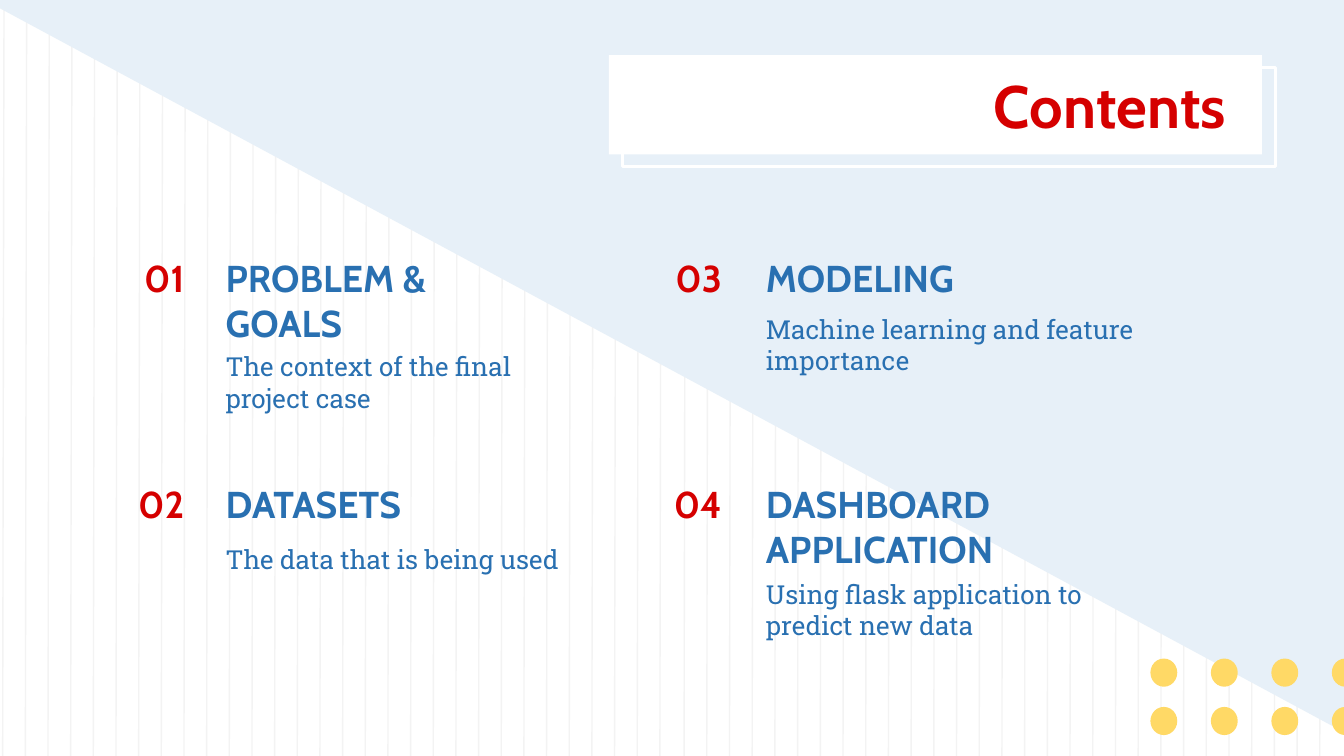
from dataclasses import dataclass

from lxml import etree
from pptx import Presentation
from pptx.dml.color import RGBColor
from pptx.enum import shapes, text
from pptx.oxml.ns import qn
from pptx.util import Inches, Pt


@dataclass(frozen=True)
class Theme:
    red: str = "D50000"
    blue: str = "2970B1"
    sky: str = "E7F0F8"
    yellow: str = "FFD966"
    white: str = "FFFFFF"
    stripe: str = "F3F3F3"
    heading_font: str = "Cabin"
    body_font: str = "Roboto Slab"
    title_size: int = 32
    heading_size: int = 20
    body_size: int = 14


theme = Theme()
deck = Presentation()
deck.slide_width = Inches(10)
deck.slide_height = Inches(10 * 9 / 16)
page = deck.slides.add_slide(deck.slide_layouts[6])


def add_shape(kind, left, top, width, height, fill=None, line=None):
    """Add a flat preset shape; a missing fill or line is left empty."""
    shape = page.shapes.add_shape(
        kind, Inches(left), Inches(top), Inches(width), Inches(height))
    shape.shadow.inherit = False
    if fill:
        shape.fill.solid()
        shape.fill.fore_color.rgb = RGBColor.from_string(fill)
    else:
        shape.fill.background()
    if line:
        shape.line.color.rgb = RGBColor.from_string(line)
        shape.line.width = Pt(1.5)
    else:
        shape.line.fill.background()
    return shape


def add_text(words, left, top, width, height, size, color,
             font=theme.heading_font, bold=True, align="LEFT", anchor="TOP"):
    box = page.shapes.add_textbox(
        Inches(left), Inches(top), Inches(width), Inches(height))
    frame = box.text_frame
    frame.word_wrap = True
    frame.vertical_anchor = text.MSO_ANCHOR[anchor]
    frame.margin_left = frame.margin_right = Inches(0.1)
    frame.margin_top = frame.margin_bottom = Inches(0.1)
    para = frame.paragraphs[0]
    para.text = words
    para.alignment = text.PP_ALIGN[align]
    for span in para.runs:
        span.font.name = font
        span.font.size = Pt(size)
        span.font.bold = bold
        span.font.color.rgb = RGBColor.from_string(color)


# Slightly leaning stripes, in a left and a right bank
for first, last, count in ((0.03, 4.92, 30), (5.1, 9.83, 29)):
    step = (last - first) / (count - 1)
    for index in range(count):
        x = first + index * step
        stripe = page.shapes.add_connector(
            shapes.MSO_CONNECTOR.STRAIGHT,
            Inches(x), Inches(-0.06), Inches(x - 0.01), Inches(5.66))
        stripe.line.color.rgb = RGBColor.from_string(theme.stripe)
        stripe.line.width = Pt(0.75)
        etree.SubElement(stripe._element.spPr, qn("a:effectLst"))

triangle = add_shape(shapes.MSO_SHAPE.RIGHT_TRIANGLE,
                     -0.32, -0.11, 10.62, 5.72, fill=theme.sky)
triangle.rotation = 180

for row in range(2):
    for column in range(4):
        add_shape(shapes.MSO_SHAPE.OVAL, 8.56 + 0.45 * column,
                  4.9 + 0.36 * row, 0.2, 0.21, fill=theme.yellow)

# Title banner with its offset outline
add_shape(shapes.MSO_SHAPE.RECTANGLE, 4.53, 0.41, 4.86, 0.74, fill=theme.white)
add_shape(shapes.MSO_SHAPE.RECTANGLE, 4.63, 0.5, 4.86, 0.74, line=theme.white)
add_text("Contents", 1.08, 0.41, 8.14, 0.6, theme.title_size, theme.red,
         align="RIGHT")

# Number left, text left, row top, heading height, number, heading,
# description top, description
sections = (
    (0.57, 1.58, 1.8, 0.71, "01", "PROBLEM & \vGOALS",
     2.51, "The context of the final project case"),
    (0.57, 1.58, 3.48, 0.71, "02", "DATASETS",
     3.94, "The data that is being used"),
    (4.57, 5.6, 1.8, 0.76, "03", "MODELING",
     2.23, "Machine learning and feature importance"),
    (4.57, 5.6, 3.48, 0.76, "04", "DASHBOARD\vAPPLICATION",
     4.2, "Using flask application to predict new data"),
)
for number_left, left, top, height, number, heading, body_top, body in sections:
    add_text(number, number_left, top + 0.02, 0.9, 0.51, theme.heading_size,
             theme.red, align="RIGHT", anchor="BOTTOM")
    add_text(heading, left, top, 2.81, height, theme.heading_size, theme.blue)
    add_text(body, left, body_top, 2.99, 0.62, theme.body_size, theme.blue,
             font=theme.body_font, bold=False)

deck.save("out.pptx")
